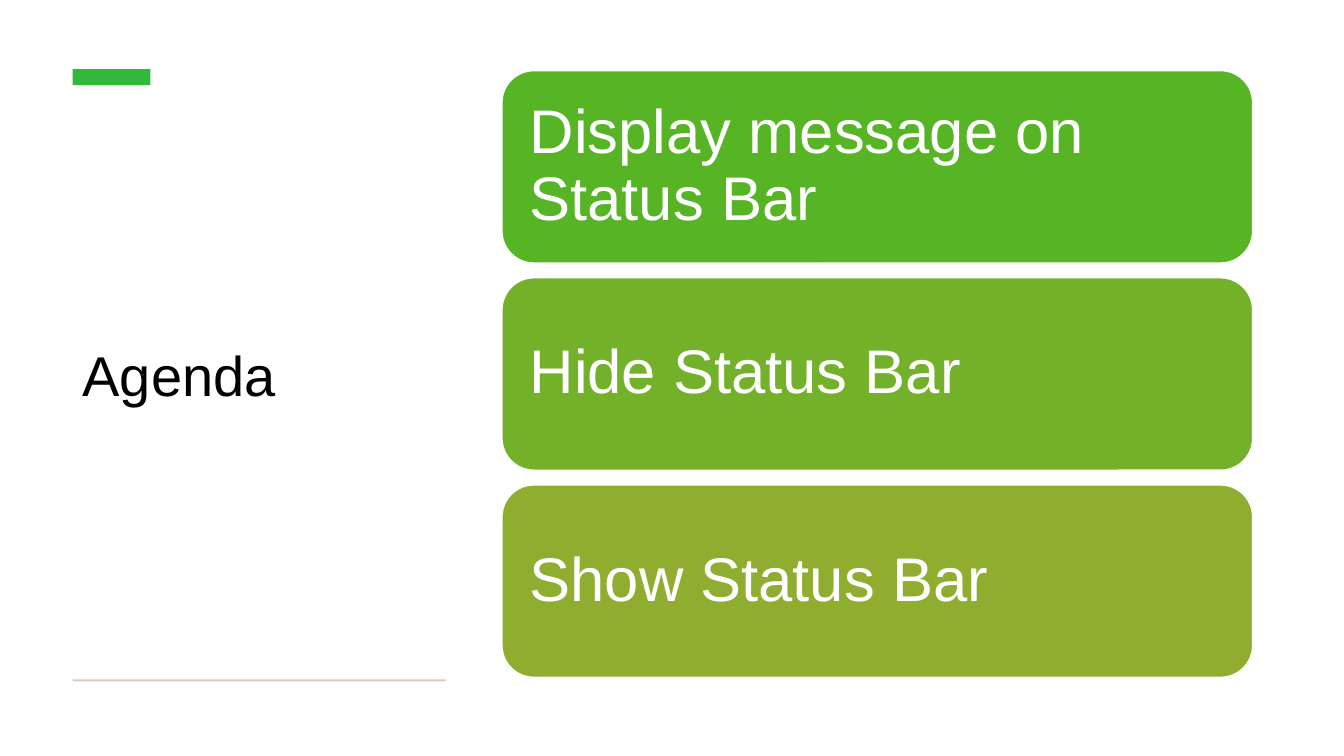
import pptx
import pptx.dml.color
import pptx.enum.shapes
import pptx.enum.text
import pptx.util

Cm = pptx.util.Cm
Pt = pptx.util.Pt
RGBColor = pptx.dml.color.RGBColor
MSO_SHAPE = pptx.enum.shapes.MSO_SHAPE

BLACK = RGBColor(0x00, 0x00, 0x00)
WHITE = RGBColor(0xFF, 0xFF, 0xFF)
ACCENT_GREEN = RGBColor(0x32, 0xB9, 0x3C)
RULE_BEIGE = RGBColor(0xDB, 0xC9, 0xBD)

AGENDA = [
    ("Display message on Status Bar", RGBColor(0x56, 0xB4, 0x25)),
    ("Hide Status Bar", RGBColor(0x74, 0xB1, 0x2A)),
    ("Show Status Bar", RGBColor(0x8F, 0xAD, 0x2F)),
]

LEFT_MARGIN = 1.83
COLUMN_WIDTH = 9.4
CARD_LEFT, CARD_TOP = 12.65, 1.78
CARD_WIDTH, CARD_HEIGHT = 18.92, 4.85
CARD_PITCH = 5.22
CARD_INSET = Cm(0.46)

FRAME_FORMAT = {
    "word_wrap": True,
    "auto_size": pptx.enum.text.MSO_AUTO_SIZE.NONE,
    "vertical_anchor": pptx.enum.text.MSO_ANCHOR.MIDDLE,
}
CARD_MARGINS = {
    "margin_left": CARD_INSET,
    "margin_top": CARD_INSET,
    "margin_right": CARD_INSET,
    "margin_bottom": CARD_INSET,
}
PARAGRAPH_FORMAT = {
    "alignment": pptx.enum.text.PP_ALIGN.LEFT,
    "line_spacing": 0.9,
}


def apply_format(target, values):
    for name, value in values.items():
        setattr(target, name, value)


def write_text(box, text, size, color):
    frame = box.text_frame
    apply_format(frame, FRAME_FORMAT)
    para = frame.paragraphs[0]
    apply_format(para, PARAGRAPH_FORMAT)
    span = para.add_run()
    span.text = text
    apply_format(span.font, {"name": "Arial", "size": Pt(size)})
    span.font.color.rgb = color


def add_filled_shape(page, kind, left, top, width, height, color):
    """Add a preset shape without outline or shadow; lengths in centimetres."""
    shape = page.shapes.add_shape(kind, Cm(left), Cm(top), Cm(width), Cm(height))
    shape.shadow.inherit = False
    shape.fill.solid()
    shape.fill.fore_color.rgb = color
    shape.line.fill.background()
    return shape


def add_title(page, text):
    title = page.shapes.title
    apply_format(title, {
        "left": Cm(LEFT_MARGIN),
        "top": Cm(2.67),
        "width": Cm(COLUMN_WIDTH),
        "height": Cm(13.74),
    })
    write_text(title, text, 40, BLACK)


def add_agenda_card(page, position, text, color):
    card = add_filled_shape(
        page, MSO_SHAPE.ROUNDED_RECTANGLE, CARD_LEFT,
        CARD_TOP + position * CARD_PITCH, CARD_WIDTH, CARD_HEIGHT, color)
    card.line.color.rgb = WHITE
    card.line.width = Pt(1)
    apply_format(card.text_frame, CARD_MARGINS)
    write_text(card, text, 44, WHITE)


def main():
    deck = pptx.Presentation()
    deck.slide_width, deck.slide_height = Cm(33.87), Cm(19.05)
    page = deck.slides.add_slide(deck.slide_layouts.get_by_name("Title Only"))

    add_title(page, "Agenda")
    add_filled_shape(page, MSO_SHAPE.RECTANGLE,
                     LEFT_MARGIN, 1.74, 1.96, 0.41, ACCENT_GREEN)
    add_filled_shape(page, MSO_SHAPE.RECTANGLE,
                     LEFT_MARGIN, 17.12, COLUMN_WIDTH, 0.05, RULE_BEIGE)
    for position, (text, color) in enumerate(AGENDA):
        add_agenda_card(page, position, text, color)

    deck.save("out.pptx")


if __name__ == "__main__":
    main()
